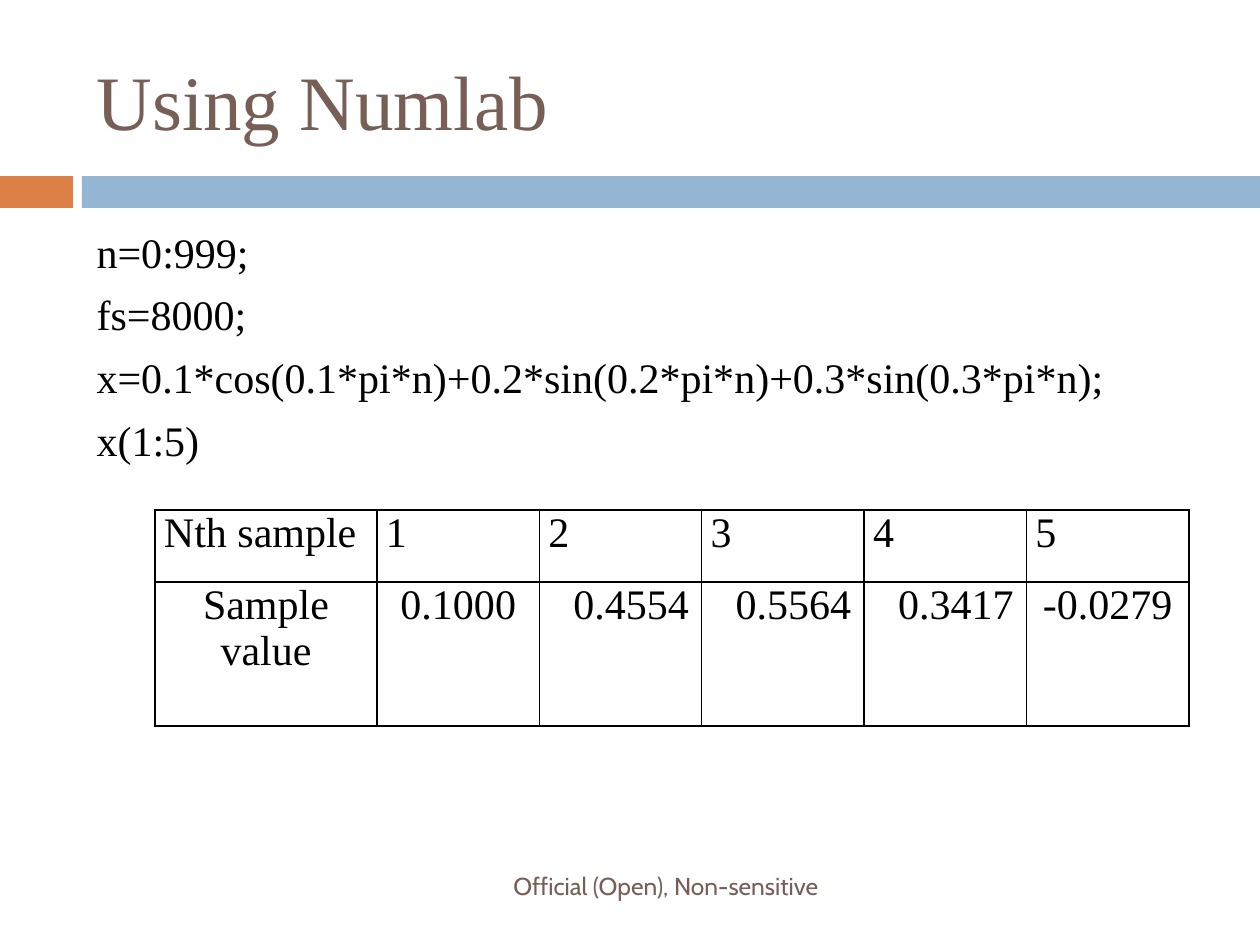
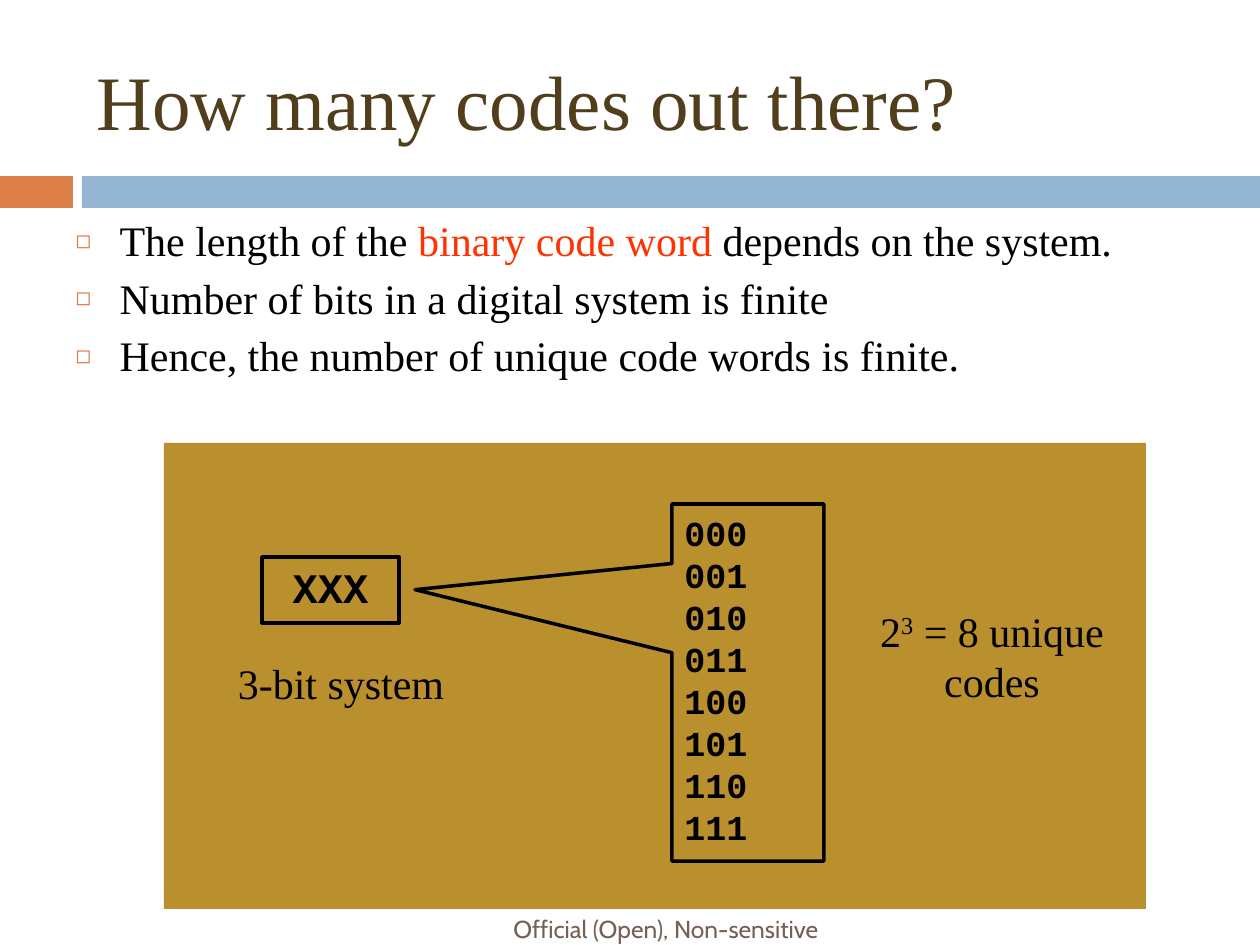
from lxml.etree import SubElement
from pptx import Presentation
from pptx.dml.color import RGBColor
from pptx.enum.shapes import MSO_SHAPE
from pptx.enum.text import MSO_ANCHOR, MSO_AUTO_SIZE, PP_ALIGN
from pptx.oxml.ns import qn
from pptx.util import Emu, Pt

COLORS = {
    "black": "000000", "brown": "775F55", "dark brown": "513E1B",
    "orange": "DD8047", "blue": "94B6D2", "gold": "BA8F2D", "red": "FF3300",
}
SERIF, MONO, SANS = "Times New Roman", "Courier New", "Cabin"
BULLET = (("buClr", {}), ("buSzPct", {"val": "60000"}), ("buChar", {"char": "◻"}))
NO_BULLET = (("buNone", {}),)


def px(length):
    """Turn pixels at 126 to the inch into EMU."""
    return Emu(round(length * 914400 / 126))


def write(frame, lines, font=SERIF, size=24, color="black", bold=False,
          align=PP_ALIGN.LEFT, gap=0, spacing=None, bullets=(), hanging=0):
    """Fill a text frame; each line is a list of runs, and gap separates lines."""
    frame.word_wrap = True
    for row, runs in enumerate(lines):
        paragraph = frame.paragraphs[0] if row == 0 else frame.add_paragraph()
        if bullets:
            properties = paragraph._p.get_or_add_pPr()
            properties.set("marL", str(px(hanging)))
            properties.set("indent", str(-px(hanging)))
            for tag, attributes in bullets:
                mark = SubElement(properties, qn(f"a:{tag}"), attributes)
                if tag == "buClr":
                    SubElement(mark, qn("a:srgbClr"), val=COLORS["orange"])
        paragraph.alignment = align
        paragraph.space_before = Pt(gap if row else 0)
        if spacing:
            paragraph.line_spacing = spacing
        paragraph.font.name = font
        paragraph.font.size = Pt(size)
        paragraph.font.bold = bold
        paragraph.font.color.rgb = RGBColor.from_string(COLORS[color])
        for text in runs:
            paragraph.add_run().text = text


prs = Presentation()
prs.slide_width, prs.slide_height = px(1260), px(945)

# Title, bands, body and footer of both slides
slides = []
for title, title_color, body_box, lines, body_format, footer_top in (
    ("Using Numlab", "brown", (84, 220, 1176, 301),
     [["n=0:999;"], ["fs=8000;"],
      ["x=0.1*cos(0.1*pi*n)+0.2*sin(0.2*pi*n)+0.3*sin(0.3*pi*n);"], ["x(1:5)"]],
     {"bullets": NO_BULLET}, 861),
    ("How many codes out there?", "dark brown", (63, 214, 1134, 232),
     [["The length of the ", "binary code word", " depends on the system."],
      ["Number of bits in a digital system is finite"],
      ["Hence, the number of unique code words is finite."]],
     {"bullets": BULLET, "hanging": 44, "spacing": 0.9}, 904),
):
    slide = prs.slides.add_slide(prs.slide_layouts[1])
    slides.append(slide)
    for left, width, band_color in ((0, 73, "orange"), (82, 1178, "blue")):
        band = slide.shapes.add_shape(
            MSO_SHAPE.RECTANGLE, px(left), px(176), px(width), px(32))
        band.shadow.inherit = False
        band.fill.solid()
        band.fill.fore_color.rgb = RGBColor.from_string(COLORS[band_color])
        band.line.fill.background()

    heading, body = slide.placeholders
    for holder, box in ((heading, (84, 32, 1124, 136)), (body, body_box)):
        holder.left, holder.top, holder.width, holder.height = map(px, box)
        holder.text_frame.auto_size = MSO_AUTO_SIZE.NONE
    heading.text_frame.vertical_anchor = MSO_ANCHOR.MIDDLE
    write(heading.text_frame, [[title]], size=44, color=title_color)
    write(body.text_frame, lines, gap=7, **body_format)

    footer = slide.shapes.add_textbox(px(84), px(footer_top), px(747), px(50))
    footer.text_frame.vertical_anchor = MSO_ANCHOR.MIDDLE
    write(footer.text_frame, [["Official (Open), Non-sensitive"]], font=SANS,
          size=14, color="brown", align=PP_ALIGN.RIGHT)

samples_slide, codes_slide = slides

# Sample table
samples = (
    ("Nth sample", "1", "2", "3", "4", "5"),
    ("Sample value", "0.1000", "0.4554", "0.5564", "0.3417", "-0.0279"),
)
table = samples_slide.shapes.add_table(
    2, 6, px(155), px(510), px(1034), px(216)).table
for column_number, column in enumerate(table.columns):
    column.width = px(812 / 5) if column_number else px(222)
for row_number, values in enumerate(samples):
    table.rows[row_number].height = px(72 * (row_number + 1))
    for column_number, value in enumerate(values):
        cell = table.cell(row_number, column_number)
        shifted = row_number == 1 and column_number in (2, 3, 4)
        cell.margin_left = px(30 if shifted else 9)
        cell.margin_right = px(9)
        cell.margin_top = cell.margin_bottom = 0
        write(cell.text_frame, [[value]],
              align=PP_ALIGN.CENTER if row_number else PP_ALIGN.LEFT)
        cell_properties = cell._tc.get_or_add_tcPr()
        for side in ("lnL", "lnR", "lnT", "lnB"):
            border = SubElement(cell_properties, qn(f"a:{side}"), w=str(Pt(1)))
            border_fill = SubElement(border, qn("a:solidFill"))
            SubElement(border_fill, qn("a:srgbClr"), val=COLORS["black"])
        cell.fill.background()

# Highlighted term
term = codes_slide.placeholders[1].text_frame.paragraphs[0].runs[1]
term.font.color.rgb = RGBColor.from_string(COLORS["red"])

# Three-bit diagram
panel, code_list, code_word = [
    codes_slide.shapes.add_shape(kind, *map(px, box)) for kind, box in (
        (MSO_SHAPE.RECTANGLE, (164, 443, 982, 466)),
        (MSO_SHAPE.RECTANGULAR_CALLOUT, (672, 504, 152, 357)),
        (MSO_SHAPE.RECTANGLE, (262, 557, 137, 66)),
    )
]
panel.shadow.inherit = False
panel.fill.solid()
panel.fill.fore_color.rgb = RGBColor.from_string(COLORS["gold"])
panel.line.fill.background()
for outlined in (code_list, code_word):
    outlined.shadow.inherit = False
    outlined.fill.background()
    outlined.line.color.rgb = RGBColor.from_string(COLORS["black"])
    outlined.line.width = Pt(2)
    outlined.text_frame.vertical_anchor = MSO_ANCHOR.MIDDLE
    outlined.text_frame.margin_bottom = px(12)
code_list.adjustments[0] = -2.19
code_list.adjustments[1] = -0.26
write(code_list.text_frame, [[f"{code:03b}"] for code in range(8)],
      font=MONO, size=20, bold=True, spacing=Pt(24))
write(code_word.text_frame, [["XXX"]], font=MONO, bold=True,
      align=PP_ALIGN.CENTER)

for box, runs in (
    ((199, 651, 284, 63), ["3-bit system"]),
    ((861, 599, 262, 113), ["2", "3", " = 8 unique codes"]),
):
    caption = codes_slide.shapes.add_textbox(*map(px, box)).text_frame
    write(caption, [runs], align=PP_ALIGN.CENTER)
exponent = caption.paragraphs[0].runs[1]
exponent._r.get_or_add_rPr().set("baseline", "30000")

prs.save("out.pptx")
